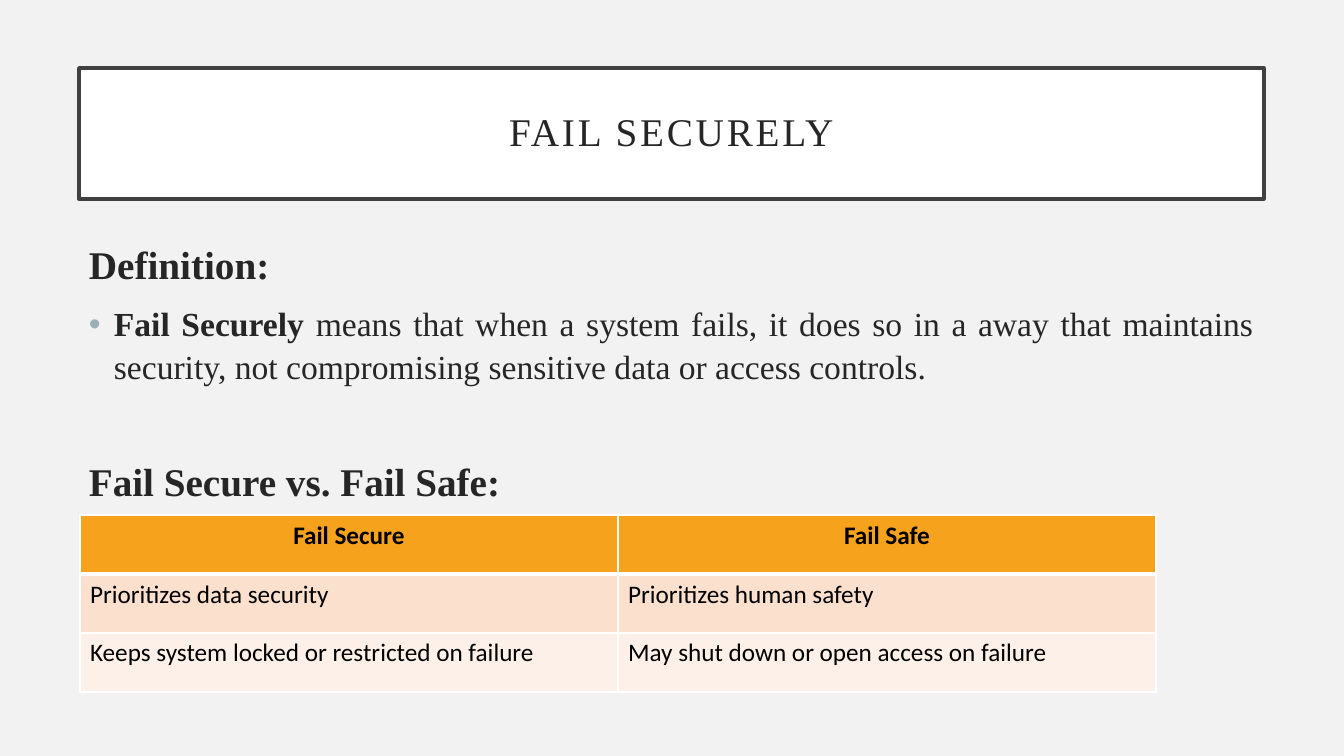
from lxml import etree
from pptx import Presentation
from pptx.dml.color import RGBColor
from pptx.enum.shapes import MSO_SHAPE
from pptx.enum.text import MSO_ANCHOR, PP_ALIGN
from pptx.oxml.ns import qn
from pptx.util import Pt

RECT = MSO_SHAPE.RECTANGLE
MIDDLE = MSO_ANCHOR.MIDDLE
LEFT, CENTER, JUSTIFY = PP_ALIGN.LEFT, PP_ALIGN.CENTER, PP_ALIGN.JUSTIFY

PAPER = RGBColor(0xF2, 0xF2, 0xF2)
WHITE = RGBColor(0xFF, 0xFF, 0xFF)
BLACK = RGBColor(0, 0, 0)
INK = RGBColor(0x26, 0x26, 0x26)
FRAME = RGBColor(0x40, 0x40, 0x40)
DOT = RGBColor(0x9B, 0xAF, 0xB5)
ORANGE = RGBColor(0xF6, 0xA2, 0x1D)
PEACH = RGBColor(0xFB, 0xE0, 0xCD)
CREAM = RGBColor(0xFD, 0xF0, 0xE8)

SERIF, SANS = "Times New Roman", "Calibri"
WIDE, HIGH = 1344, 756
EDGE, SPAN = 79, 1185
COL, ROW = 538, 59

ROWS = [
    ("Fail Secure", "Fail Safe"),
    ("Prioritizes data security", "Prioritizes human safety"),
    ("Keeps system locked or restricted on failure",
     "May shut down or open access on failure"),
]


def px(num):
    """Turn slide pixels into EMU."""
    return round(num * 12192000 / WIDE)


def add_run(para, text, size, bold=False, face=SERIF, color=INK):
    """Add one styled run to a paragraph and return it."""
    run = para.add_run()
    run.text = text
    font = run.font
    font.size, font.bold, font.name = Pt(size), bold, face
    font.color.rgb = color
    return run


def add_dot(para):
    """Give a paragraph a hanging round bullet."""
    props = para._p.get_or_add_pPr()
    props.set("marL", str(px(25)))
    props.set("indent", str(px(-25)))
    tint = etree.SubElement(props, qn("a:buClr"))
    etree.SubElement(tint, qn("a:srgbClr"), val=str(DOT))
    etree.SubElement(props, qn("a:buFont"), typeface="Arial")
    etree.SubElement(props, qn("a:buChar"), char="•")


def add_title(slide, text):
    """Draw the framed title."""
    box = slide.shapes.add_shape(RECT, px(EDGE), px(68), px(SPAN), px(131))
    box.shadow.inherit = False
    box.fill.solid()
    box.fill.fore_color.rgb = WHITE
    box.line.color.rgb = FRAME
    box.line.width = Pt(2.5)
    frame = box.text_frame
    frame.word_wrap = True
    frame.vertical_anchor = MIDDLE
    frame.margin_left = frame.margin_right = px(20)
    frame.margin_top = frame.margin_bottom = px(20)
    para = frame.paragraphs[0]
    para.alignment, para.line_spacing = CENTER, 0.9
    run = add_run(para, text, 28)
    run._r.get_or_add_rPr().set("spc", "200")


def add_body(slide):
    """Write the definition and the table heading."""
    box = slide.shapes.add_textbox(px(EDGE), px(233), px(SPAN), px(495))
    frame = box.text_frame
    frame.word_wrap = True
    head = frame.paragraphs[0]
    point, versus = frame.add_paragraph(), frame.add_paragraph()
    for para in (head, point, versus):
        para.line_spacing = 1.05
    add_run(head, "Definition:", 28, True)
    point.alignment, point.space_before = JUSTIFY, Pt(10)
    add_dot(point)
    add_run(point, "Fail Securely ", 24, True)
    add_run(point, "means that when a system fails, it does so in a away that "
            "maintains security, not compromising sensitive data or access "
            "controls.", 24)
    versus.space_before = Pt(49)
    add_run(versus, "Fail Secure vs. Fail Safe:", 28, True)


def add_edges(cell, top, foot):
    """Draw white borders round a cell."""
    props = cell._tc.get_or_add_tcPr()
    sides = {"a:lnL": 1, "a:lnR": 1, "a:lnT": top, "a:lnB": foot}
    for spot, (tag, width) in enumerate(sides.items()):
        line = etree.Element(qn(tag), w=str(Pt(width)))
        fill = etree.SubElement(line, qn("a:solidFill"))
        etree.SubElement(fill, qn("a:srgbClr"), val=str(WHITE))
        props.insert(spot, line)


def add_grid(slide):
    """Build the comparison table."""
    grid = slide.shapes.add_table(len(ROWS), 2, px(EDGE + 1), px(515),
                                  px(2 * COL), px(len(ROWS) * ROW)).table
    for col in grid.columns:
        col.width = px(COL)
    for row, (texts, fill) in enumerate(zip(ROWS, (ORANGE, PEACH, CREAM))):
        grid.rows[row].height = px(ROW)
        head = row == 0
        for col, text in enumerate(texts):
            cell = grid.cell(row, col)
            cell.fill.solid()
            cell.fill.fore_color.rgb = fill
            add_edges(cell, 3 if row == 1 else 1, 3 if head else 1)
            para = cell.text_frame.paragraphs[0]
            para.alignment = CENTER if head else LEFT
            add_run(para, text, 18, head, SANS, BLACK)


def main():
    """Build and save the slide."""
    deck = Presentation()
    deck.slide_width, deck.slide_height = px(WIDE), px(HIGH)
    slide = deck.slides.add_slide(deck.slide_layouts[6])
    back = slide.background.fill
    back.solid()
    back.fore_color.rgb = PAPER
    add_title(slide, "FAIL SECURELY")
    add_body(slide)
    add_grid(slide)
    deck.save("out.pptx")


if __name__ == "__main__":
    main()
